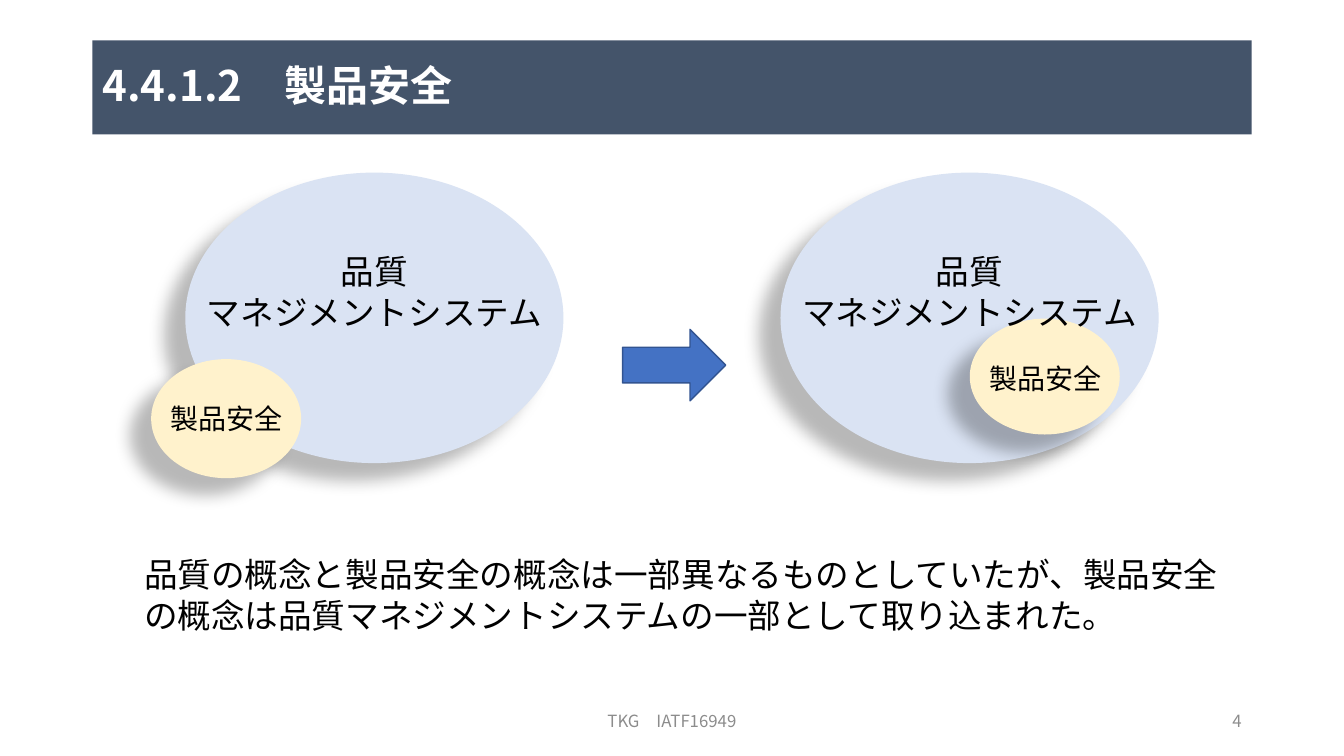
from lxml import etree
from pptx import Presentation
from pptx.dml.color import RGBColor
from pptx.enum.shapes import MSO_SHAPE
from pptx.enum.text import MSO_ANCHOR, PP_ALIGN
from pptx.oxml.ns import qn
from pptx.util import Cm, Pt

OVAL, ARROW = MSO_SHAPE.OVAL, MSO_SHAPE.RIGHT_ARROW
LEFT, CENTER, RIGHT = PP_ALIGN.LEFT, PP_ALIGN.CENTER, PP_ALIGN.RIGHT
TOP, MIDDLE = MSO_ANCHOR.TOP, MSO_ANCHOR.MIDDLE
FONT = "Noto Sans CJK JP"
TITLE_ONLY = 5
COLORS = {
    "banner": "44546A", "quality": "DAE3F3", "safety": "FFF2CC",
    "arrow": "4472C4", "arrow_line": "325491", "shadow": "000000",
    "text": "000000", "title": "FFFFFF", "footer": "8C8C8C",
}


def color(name):
    return RGBColor.from_string(COLORS[name])


def write(shape, text, size, ink="text", align=LEFT, anchor=TOP, bold=False):
    frame = shape.text_frame
    frame.text = text
    frame.word_wrap = True
    frame.vertical_anchor = anchor
    for para in frame.paragraphs:
        para.alignment = align
        for span in para.runs:
            span.font.size = Pt(size)
            span.font.bold = bold
            span.font.name = FONT
            span.font.color.rgb = color(ink)
            east_asian = etree.SubElement(span._r.get_or_add_rPr(), qn("a:ea"))
            east_asian.set("typeface", FONT)


def add_text(page, box, text, size, **style):
    """Add a text box; box is left, top, width, height in centimetres."""
    write(page.shapes.add_textbox(*map(Cm, box)), text, size, **style)


def add_filled(page, kind, box, fill):
    shape = page.shapes.add_shape(kind, *map(Cm, box))
    shape.shadow.inherit = False
    shape.fill.solid()
    shape.fill.fore_color.rgb = color(fill)
    shape.line.fill.background()
    return shape


def add_shadowed_oval(page, box, fill):
    oval = add_filled(page, OVAL, box, fill)
    effects = oval._element.spPr.find(qn("a:effectLst"))
    shadow = etree.SubElement(
        effects, qn("a:outerShdw"), blurRad=str(Pt(11.8)), dist=str(Pt(19.7)),
        dir=str(141 * 60000), algn="tr", rotWithShape="0")
    tint = etree.SubElement(shadow, qn("a:srgbClr"), val=COLORS["shadow"])
    etree.SubElement(tint, qn("a:alpha"), val="28000")


def add_title(page, box, text):
    title = page.shapes.title
    title.left, title.top, title.width, title.height = map(Cm, box)
    title.fill.solid()
    title.fill.fore_color.rgb = color("banner")
    write(title, text, 30, ink="title", anchor=MIDDLE, bold=True)
    title.text_frame.paragraphs[0].line_spacing = 0.9


def add_concepts(page, box, safety_box):
    """Draw the quality oval in box, with the safety oval relative to it."""
    left, top, width, height = box
    dx, dy, safety_width, safety_height = safety_box
    safety_left, safety_top = left + dx, top + dy
    add_shadowed_oval(page, box, "quality")
    add_shadowed_oval(
        page, (safety_left, safety_top, safety_width, safety_height), "safety")
    add_text(page, (left - 0.94, top + 1.86, width + 1.88, 2.31),
             "品質\nマネジメントシステム", 24, align=CENTER)
    add_text(page, (safety_left + 0.24, safety_top + 0.95, safety_width + 0.1, 1.11),
             "製品安全", 20)


def add_arrow(page, box):
    arrow = add_filled(page, ARROW, box, "arrow")
    arrow.line.color.rgb = color("arrow_line")
    arrow.line.width = Pt(1)


def add_footer(page, top, height):
    style = {"ink": "footer", "anchor": MIDDLE}
    add_text(page, (11.22, top, 11.43, height), "TKG\u3000IATF16949".replace("\u3000", "　"),
             12, align=CENTER, **style)
    add_text(page, (23.92, top, 7.62, height), "4", 12, align=RIGHT, **style)


def main():
    deck = Presentation()
    deck.slide_width, deck.slide_height = Cm(33.87), Cm(19.05)
    page = deck.slides.add_slide(deck.slide_layouts[TITLE_ONLY])
    add_title(page, (2.33, 1.02, 29.21, 2.37), "4.4.1.2　製品安全")
    add_concepts(page, (4.67, 4.35, 9.53, 7.32), (-0.86, 4.7, 3.78, 3))
    add_concepts(page, (19.67, 4.35, 9.53, 7.32), (4.77, 3.68, 3.78, 2.92))
    add_arrow(page, (15.69, 8.3, 2.6, 1.8))
    add_text(page, (3.38, 13.84, 27.76, 2.31),
             "品質の概念と製品安全の概念は一部異なるものとしていたが、製品安全の概念は"
             "品質マネジメントシステムの一部として取り込まれた。", 24)
    add_footer(page, 17.65, 1.02)
    deck.save("out.pptx")


if __name__ == "__main__":
    main()
